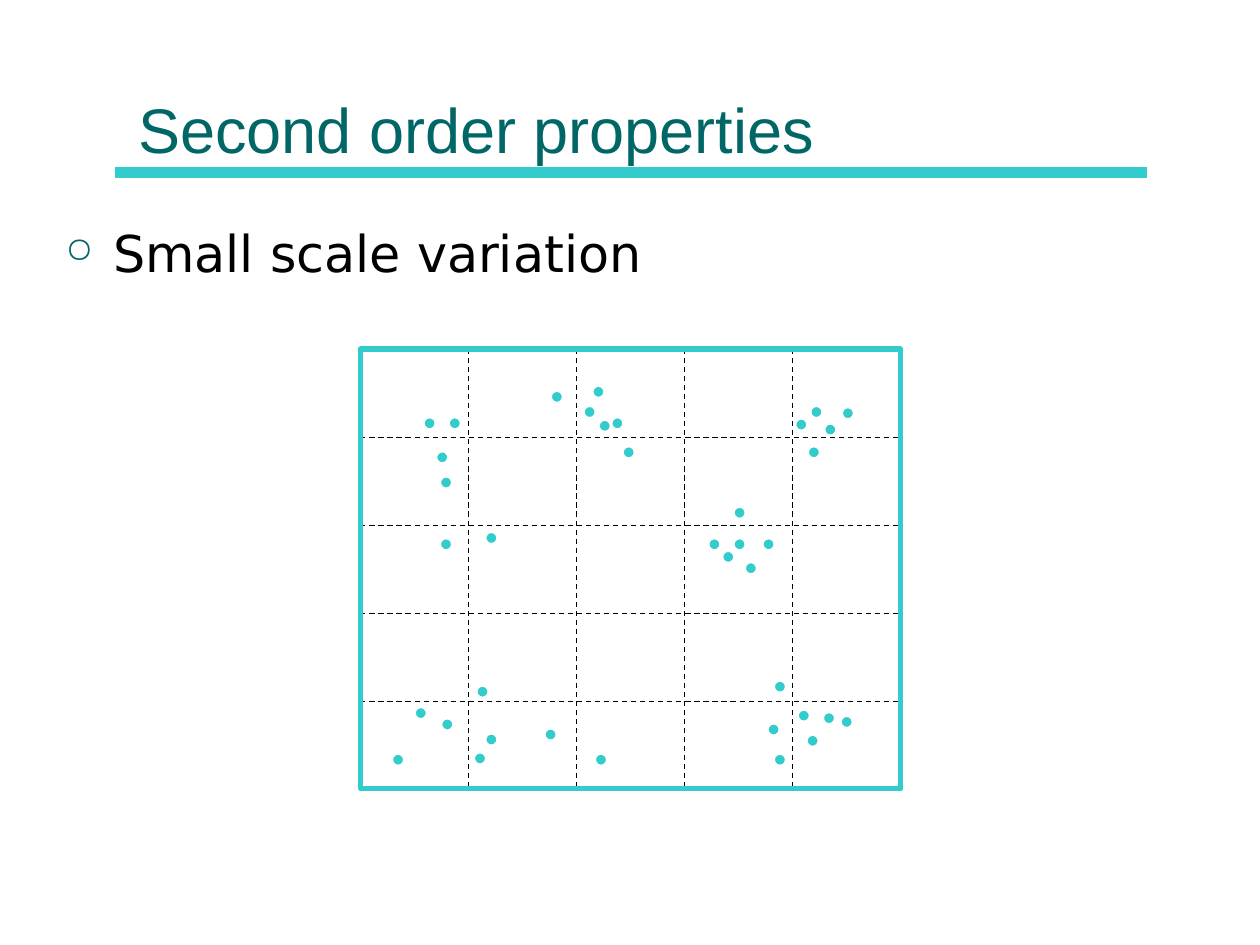
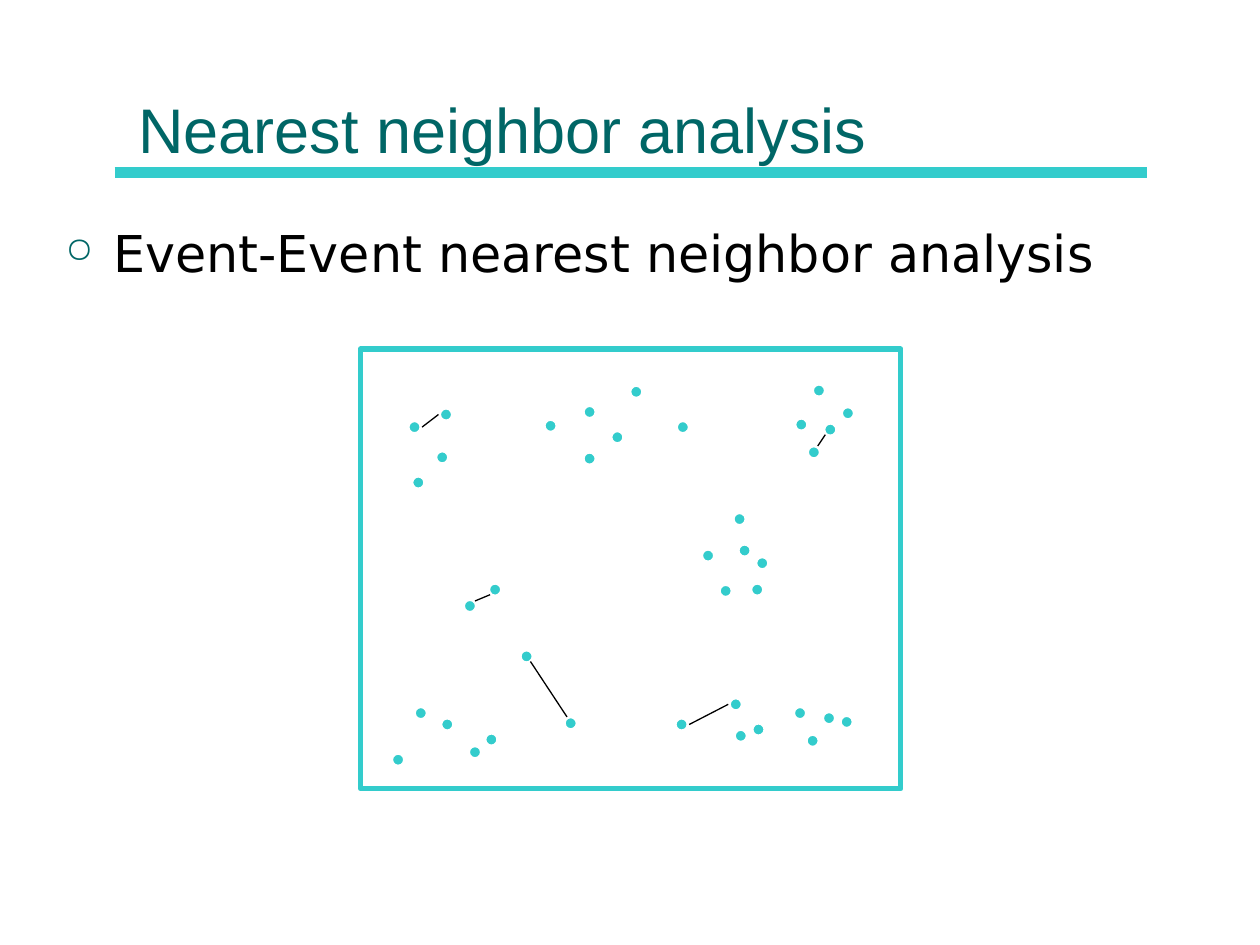
from lxml import etree
from pptx import Presentation
from pptx.dml.color import RGBColor
from pptx.enum.dml import MSO_LINE_DASH_STYLE as Dash
from pptx.enum.shapes import MSO_CONNECTOR as Connector, MSO_SHAPE as Shape
from pptx.enum.text import MSO_ANCHOR as Anchor
from pptx.oxml.ns import qn
from pptx.util import Inches, Pt

COLORS = {"title": "006666", "accent": "33CCCC", "text": "000000", "paper": "FFFFFF"}
TITLE_FONT, BODY_FONT = "Arial", "DejaVu Sans"

# Boxes are left, top, width, height in inches
TITLE_BOX = (1, 0.12, 8, 1.25)
BODY_BOX = (0.42, 1.71, 9.13, 4.5)
STUDY_AREA = (2.86, 2.77, 4.29, 3.49)
RULE_LEFT, RULE_RIGHT, RULE_Y = 0.91, 9.1, 1.37
EVENT_SIZE = 0.1
GRID_COUNT, ROW_PITCH = 5, 0.7

# Event centres and link ends, measured from the corner of the study area
SHARED_EVENTS = [
    (3.87, 0.51), (0.65, 0.86), (1.82, 0.5), (3.5, 0.6), (3.6, 0.82),
    (3.73, 0.64), (0.48, 2.89), (0.69, 2.98), (1.04, 3.1), (0.3, 3.26),
    (3.86, 2.96), (3.59, 3.11), (3.72, 2.93),
]
CLUSTERED_EVENTS = [
    (3.01, 1.55), (1.56, 0.38), (0.75, 0.59), (3.1, 1.74), (2.04, 0.59),
    (2.81, 1.55), (2.13, 0.82), (1.04, 1.5), (0.55, 0.59), (0.68, 1.55),
    (3.24, 1.55), (1.89, 0.34), (0.68, 1.06), (1.94, 0.61), (3.62, 0.5),
    (2.92, 1.65), (0.97, 2.72), (3.01, 1.3), (0.95, 3.25), (3.28, 3.02),
    (3.33, 3.26), (3.52, 2.91), (3.33, 2.68), (1.51, 3.06), (1.91, 3.26),
]
NEIGHBOR_EVENTS = [
    (3.19, 1.7), (1.51, 0.61), (3.15, 1.91), (2.56, 0.62), (2.76, 1.64),
    (1.82, 0.87), (1.07, 1.91), (0.43, 0.62), (0.87, 2.04), (3.05, 1.6),
    (2.19, 0.34), (0.46, 1.06), (2.04, 0.7), (3.64, 0.33), (2.9, 1.92),
    (1.32, 2.44), (3.01, 1.35), (0.91, 3.2), (3.16, 3.02), (3.02, 3.07),
    (3.49, 2.89), (2.98, 2.82), (1.67, 2.97), (2.55, 2.98), (0.68, 0.52),
]
NEIGHBOR_LINKS = [
    ((1.35, 2.48), (1.64, 2.92)), ((0.91, 2), (1.03, 1.95)),
    ((3.63, 0.77), (3.69, 0.68)), ((2.61, 2.98), (2.92, 2.82)),
    ((0.49, 0.62), (0.62, 0.52)),
]


def rgb(name):
    return RGBColor.from_string(COLORS[name])


def add_line(slide, start, end, color="text", width=0.75, dash=None):
    line = slide.shapes.add_connector(
        Connector.STRAIGHT, *(Inches(v) for v in (*start, *end)))
    line.line.color.rgb = rgb(color)
    line.line.width = Pt(width)
    if dash:
        line.line.dash_style = dash
    etree.SubElement(line._element.spPr, qn("a:effectLst"))


def add_outlined(slide, preset, box, line_color, line_width, fill=None):
    shape = slide.shapes.add_shape(preset, *map(Inches, box))
    shape.shadow.inherit = False
    if fill:
        shape.fill.solid()
        shape.fill.fore_color.rgb = rgb(fill)
    else:
        shape.fill.background()
    shape.line.color.rgb = rgb(line_color)
    shape.line.width = Pt(line_width)


def add_text(slide, box, text, font_name, size, color, anchor):
    frame = slide.shapes.add_textbox(*map(Inches, box)).text_frame
    frame.word_wrap = True
    frame.vertical_anchor = anchor
    frame.text = text
    paragraph = frame.paragraphs[0]
    font = paragraph.runs[0].font
    font.name, font.size = font_name, Pt(size)
    font.color.rgb = rgb(color)
    return paragraph


def add_bullet(paragraph):
    props = paragraph._p.get_or_add_pPr()
    props.set("marL", str(Inches(0.38)))
    props.set("indent", str(-Inches(0.38)))
    bullet_color = etree.SubElement(props, qn("a:buClr"))
    etree.SubElement(bullet_color, qn("a:srgbClr"), val=COLORS["title"])
    etree.SubElement(props, qn("a:buSzPct"), val="70000")
    etree.SubElement(props, qn("a:buChar"), char="○")


def add_heading(slide, title, topic):
    add_line(slide, (RULE_LEFT, RULE_Y), (RULE_RIGHT, RULE_Y), "accent", 6)
    add_text(slide, TITLE_BOX, title, TITLE_FONT, 36, "title", Anchor.BOTTOM)
    add_bullet(add_text(slide, BODY_BOX, topic, BODY_FONT, 29, "text", Anchor.TOP))


def add_events(slide, area, events):
    left, top = area[:2]
    for x, y in events:
        box = (left + x - EVENT_SIZE / 2, top + y - EVENT_SIZE / 2,
               EVENT_SIZE, EVENT_SIZE)
        add_outlined(slide, Shape.OVAL, box, "paper", 1.5, "accent")


def add_quadrat_grid(slide, area):
    left, top, width, height = area
    for i in range(1, GRID_COUNT):
        x, y = left + i * width / GRID_COUNT, top + i * ROW_PITCH
        add_line(slide, (x, top), (x, top + height), dash=Dash.DASH)
        add_line(slide, (left, y), (left + width, y), dash=Dash.DASH)


def add_links(slide, area, links):
    left, top = area[:2]
    for (x1, y1), (x2, y2) in links:
        add_line(slide, (left + x1, top + y1), (left + x2, top + y2))


def add_frame(slide, area):
    add_outlined(slide, Shape.RECTANGLE, area, "accent", 3)


def build_variation_slide(slide):
    add_heading(slide, "Second order properties", "Small scale variation")
    add_events(slide, STUDY_AREA, SHARED_EVENTS + CLUSTERED_EVENTS)
    add_quadrat_grid(slide, STUDY_AREA)
    add_frame(slide, STUDY_AREA)


def build_neighbor_slide(slide):
    add_heading(slide, "Nearest neighbor analysis",
                "Event-Event nearest neighbor analysis")
    add_frame(slide, STUDY_AREA)
    add_events(slide, STUDY_AREA, SHARED_EVENTS + NEIGHBOR_EVENTS)
    add_links(slide, STUDY_AREA, NEIGHBOR_LINKS)


def main():
    deck = Presentation()
    deck.slide_width, deck.slide_height = Inches(10), Inches(7.5)
    for build in (build_variation_slide, build_neighbor_slide):
        build(deck.slides.add_slide(deck.slide_layouts[6]))
    deck.save("out.pptx")


if __name__ == "__main__":
    main()
